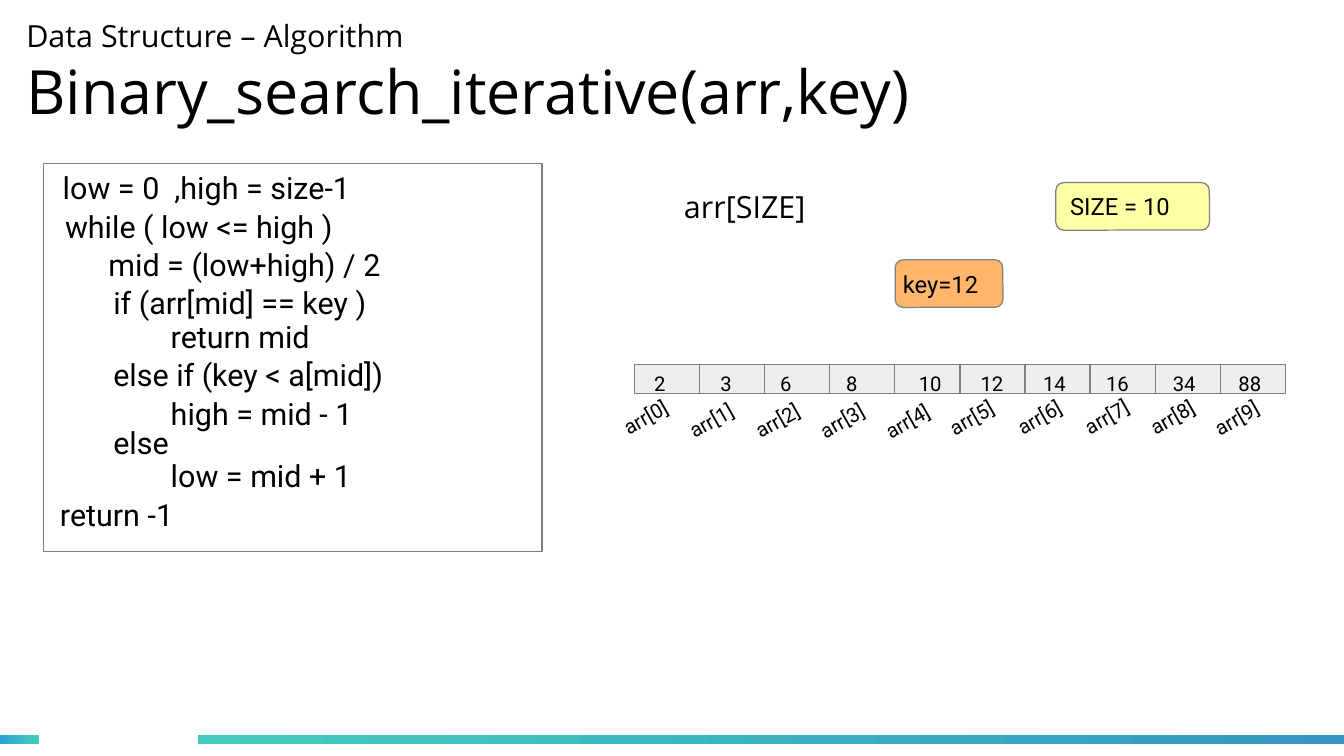
from dataclasses import dataclass

from pptx import Presentation
from pptx import util as u
from pptx.dml import color
from pptx.enum import shapes, text

Pt = u.Pt
BLACK = color.RGBColor(0x00, 0x00, 0x00)
WHITE = color.RGBColor(0xFF, 0xFF, 0xFF)
GRAY = color.RGBColor(0x80, 0x80, 0x80)
CELL_GRAY = color.RGBColor(0xEE, 0xEE, 0xEE)
YELLOW = color.RGBColor(0xFF, 0xFF, 0xA6)
ORANGE = color.RGBColor(0xFF, 0xB6, 0x6C)
TEAL = color.RGBColor(0x43, 0xCC, 0xBD)
SKY = color.RGBColor(0x30, 0xA2, 0xD2)
BLUE = color.RGBColor(0x34, 0x97, 0xC1)

RECT = shapes.MSO_SHAPE.RECTANGLE
ROUNDED = shapes.MSO_SHAPE.ROUNDED_RECTANGLE
CELL_LEFT, CELL_PITCH, CELL_TOP, CELL_HEIGHT = 374.5, 38.44, 215.2, 17.3


@dataclass(frozen=True)
class Box:
    left: float
    top: float
    width: float
    height: float

    def lengths(self) -> tuple:
        return Pt(self.left), Pt(self.top), Pt(self.width), Pt(self.height)


@dataclass(frozen=True)
class CodeLine:
    code: str
    indent: float
    pitch: float


@dataclass(frozen=True)
class Cell:
    value: str
    inset: float
    index_box: Box
    tilt: float = 330.4


@dataclass(frozen=True)
class Badge:
    label: str
    box: Box
    fill: color.RGBColor
    inset: float


@dataclass(frozen=True)
class Bar:
    box: Box
    start: color.RGBColor
    end: color.RGBColor


CODE = (
    CodeLine(" low = 0  ,high = size-1", 0, 21.1),
    CodeLine("while ( low <= high )", 5.8, 23.3),
    CodeLine("mid = (low+high) / 2", 31.4, 22.5),
    CodeLine("if (arr[mid] == key )", 34.3, 22.4),
    CodeLine("return mid", 68.2, 20.2),
    CodeLine("else if (key < a[mid])", 34.3, 22.3),
    CodeLine("high = mid - 1", 68.2, 23),
    CodeLine("else", 34.3, 17.3),
    CodeLine("low = mid + 1", 68.2, 19.4),
    CodeLine("return -1", 2.8, 23),
)
CELLS = (
    Cell("2", 11.7, Box(360, 233.3, 50.4, 23.8)),
    Cell("3", 12.4, Box(398.9, 235.4, 49.7, 23.8)),
    Cell("6", 9.2, Box(437.8, 235.4, 49.7, 23.8)),
    Cell("8", 9.7, Box(476.6, 235.4, 49.7, 25.9), 330.5),
    Cell("10", 14.2, Box(514.8, 236.2, 48.2, 23.8)),
    Cell("12", 12.2, Box(552.2, 232.6, 54.7, 23.8), 330.5),
    Cell("14", 10.7, Box(592.6, 231.1, 58.3, 25.9)),
    Cell("16", 9.4, Box(632.9, 233.3, 49, 25.9), 330.5),
    Cell("34", 10.4, Box(671, 233.3, 50.4, 23.8)),
    Cell("88", 10.7, Box(708.5, 231.8, 58.3, 23.8), 330.5),
)
BADGES = (
    Badge("SIZE = 10", Box(623.3, 107.8, 90.7, 28.1), YELLOW, 7.2),
    Badge("key=12", Box(528.5, 153.4, 63.6, 28.1), ORANGE, 3.2),
)
BARS = (
    Bar(Box(0, 433.8, 23, 5.8), SKY, TEAL),
    Bar(Box(117, 433.8, 676.44, 5.8), TEAL, BLUE),
)


def add_run(paragraph, words: str, size: float, face: str) -> None:
    run = paragraph.add_run()
    run.text = words
    run.font.size = Pt(size)
    run.font.name = face
    run.font.color.rgb = BLACK


def set_frame(frame, left: float, top: float, right: float, bottom: float, anchor) -> None:
    frame.word_wrap = True
    frame.auto_size = text.MSO_AUTO_SIZE.NONE
    frame.margin_left, frame.margin_top = Pt(left), Pt(top)
    frame.margin_right, frame.margin_bottom = Pt(right), Pt(bottom)
    frame.vertical_anchor = anchor
    frame.paragraphs[0].alignment = text.PP_ALIGN.LEFT


def add_panel(slide, kind, box: Box, fill: color.RGBColor):
    panel = slide.shapes.add_shape(kind, *box.lengths())
    panel.shadow.inherit = False
    panel.fill.solid()
    panel.fill.fore_color.rgb = fill
    panel.line.color.rgb = GRAY
    panel.line.width = Pt(0)
    return panel


def add_label(slide, box: Box, words: str, size: float, face: str, rotation: float = 0) -> None:
    label = slide.shapes.add_textbox(*box.lengths())
    label.rotation = rotation
    set_frame(label.text_frame, 7.2, 3.6, 7.2, 3.6, text.MSO_ANCHOR.TOP)
    add_run(label.text_frame.paragraphs[0], words, size, face)


def add_bar(slide, bar: Bar) -> None:
    strip = slide.shapes.add_shape(RECT, *bar.box.lengths())
    strip.shadow.inherit = False
    strip.line.fill.background()
    strip.fill.gradient()
    strip.fill.gradient_angle = 0
    for stop, tone in zip(strip.fill.gradient_stops, (bar.start, bar.end)):
        stop.color.rgb = tone


def add_title(slide) -> None:
    title = slide.shapes.title
    title.left, title.top, title.width, title.height = Box(15.5, -9.8, 749.5, 104.4).lengths()
    set_frame(title.text_frame, 0, 0, 0, 0, text.MSO_ANCHOR.MIDDLE)
    heading = title.text_frame.paragraphs[0]
    add_run(heading, "Data Structure – Algorithm ", 18, "Open Sans")
    heading.add_line_break()
    add_run(heading, "Binary_search_iterative(arr,key)", 36, "Open Sans")


def add_code(slide) -> None:
    listing = add_panel(slide, RECT, Box(25.5, 96.5, 294.5, 229.3), WHITE).text_frame
    set_frame(listing, 7.2, 3.6, 7.2, 3.6, text.MSO_ANCHOR.TOP)
    for number, line in enumerate(CODE):
        paragraph = listing.add_paragraph() if number else listing.paragraphs[0]
        paragraph.alignment = text.PP_ALIGN.LEFT
        paragraph.line_spacing = Pt(line.pitch)
        properties = paragraph._p.get_or_add_pPr()
        properties.set("marL", str(Pt(line.indent)))
        properties.set("indent", "0")
        add_run(paragraph, line.code, 18, "Roboto")


def add_badge(slide, badge: Badge) -> None:
    panel = add_panel(slide, ROUNDED, badge.box, badge.fill)
    set_frame(panel.text_frame, badge.inset, 0, 0, 0, text.MSO_ANCHOR.MIDDLE)
    add_run(panel.text_frame.paragraphs[0], badge.label, 14, "Roboto")


def add_array(slide) -> None:
    for index, cell in enumerate(CELLS):
        box = Box(CELL_LEFT + index * CELL_PITCH, CELL_TOP, CELL_PITCH, CELL_HEIGHT)
        frame = add_panel(slide, RECT, box, CELL_GRAY).text_frame
        set_frame(frame, cell.inset, 4, 0, 0, text.MSO_ANCHOR.TOP)
        add_run(frame.paragraphs[0], cell.value, 12, "Roboto")
        add_label(slide, cell.index_box, f"arr[{index}]", 12, "Roboto", cell.tilt)


def main() -> None:
    deck = Presentation()
    deck.slide_width, deck.slide_height = Pt(793.44), Pt(446.4)
    slide = deck.slides.add_slide(deck.slide_layouts[5])
    for bar in BARS:
        add_bar(slide, bar)
    add_title(slide)
    add_label(slide, Box(396.7, 107.6, 102.2, 31.7), "arr[SIZE]", 18, "Open Sans")
    add_code(slide)
    add_array(slide)
    for badge in BADGES:
        add_badge(slide, badge)
    deck.save("out.pptx")


if __name__ == "__main__":
    main()
